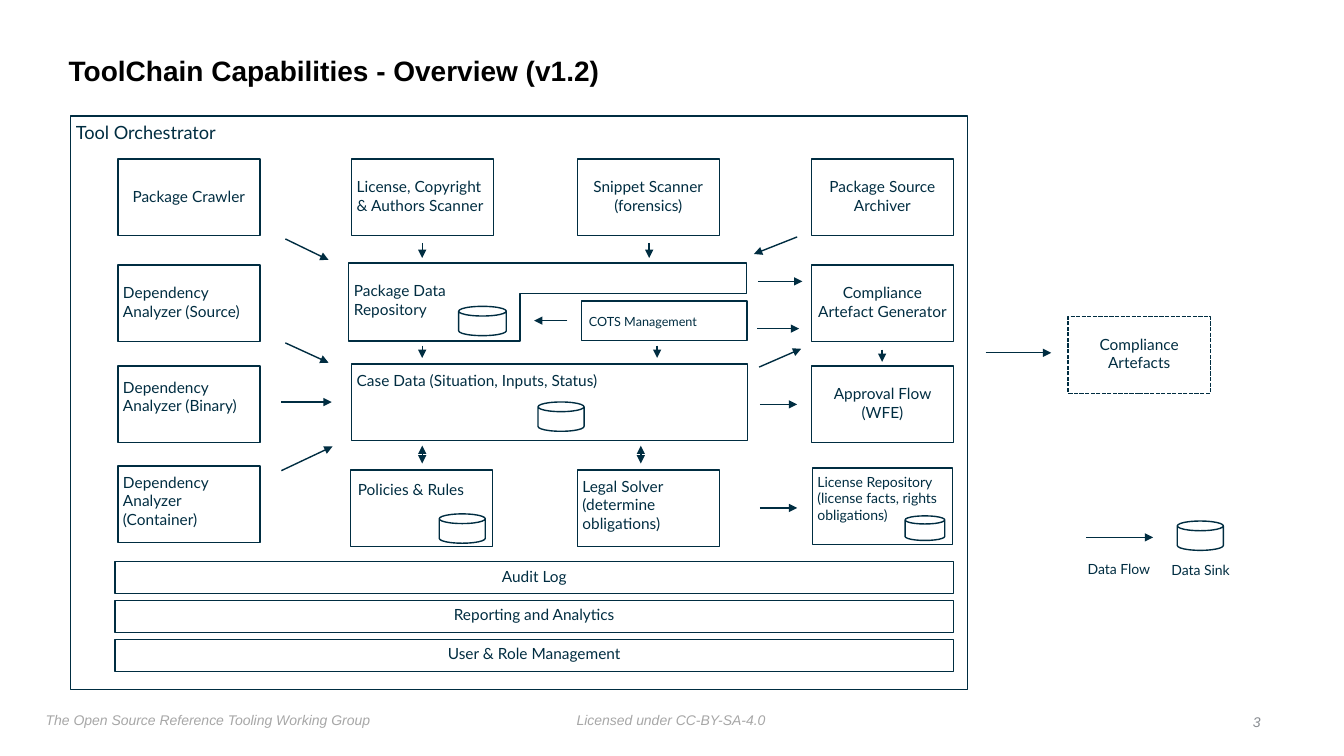
"""Build the ToolChain capabilities overview slide."""
from dataclasses import dataclass

from lxml import etree
from pptx import Presentation, util as u
from pptx.dml.color import RGBColor
from pptx.enum import dml, shapes, text
from pptx.oxml import ns

LEFT, CENTER, RIGHT = text.PP_ALIGN.LEFT, text.PP_ALIGN.CENTER, text.PP_ALIGN.RIGHT
INSET = 0.13


@dataclass(frozen=True)
class Theme:
    ink: str = "002D41"
    paper: str = "FFFFFF"
    heading: str = "000000"
    footer: str = "A7A7A7"
    number: str = "888C91"
    body_font: str = "Lato"
    title_font: str = "Arial"
    title: float = 20
    frame: float = 13
    box: float = 11
    small: float = 10
    tiny: float = 9
    line: float = 1


THEME = Theme()


@dataclass(frozen=True)
class Box:
    label: str
    x: float
    y: float
    w: float = 3.58
    h: float = 1.93
    top: float = 0.46
    left: float = INSET
    align: text.PP_ALIGN = LEFT
    size: float = THEME.box
    dashed: bool = False


@dataclass(frozen=True)
class Arrow:
    x1: float
    y1: float
    x2: float
    y2: float
    both: bool = False


@dataclass(frozen=True)
class Sink:
    x: float
    y: float
    w: float = 1.16
    h: float = 0.74


@dataclass(frozen=True)
class Label:
    words: str
    x: float
    y: float
    w: float
    h: float = 0.64
    font: str = THEME.title_font
    color: str = THEME.footer
    italic: bool = True
    align: text.PP_ALIGN = LEFT


COL1, COL2, COL3, COL4 = 2.97, 8.86, 14.55, 20.45
ROW1, ROW2, ROW3, ROW4 = 4.01, 6.68, 9.22, 11.84

BOXES = [
    Box("Tool Orchestrator", 1.78, 2.92, 22.61, 14.45, top=INSET, size=THEME.frame),
    Box("Package Crawler", COL1, ROW1, top=0.71, align=CENTER),
    Box("License, Copyright & Authors Scanner", COL2, ROW1),
    Box("Snippet Scanner\v(forensics)", COL3, ROW1, align=CENTER),
    Box("Package Source Archiver", COL4, ROW1, align=CENTER),
    Box("Dependency Analyzer (Source)", COL1, ROW2),
    Box("Dependency Analyzer (Binary)", COL1, ROW3, top=0.3),
    Box("Dependency Analyzer (Container)", COL1, 11.74, top=0.18),
    Box("Compliance Artefact Generator", COL4, ROW2, align=CENTER),
    Box("Approval Flow (WFE)", COL4, ROW3, align=CENTER),
    Box("COTS Management", 14.66, 7.59, 4.17, 0.99, top=0.33, left=0.18, size=THEME.tiny),
    Box("Case Data (Situation, Inputs, Status)", COL2, 9.17, w=9.98, top=0.18),
    Box("Policies & Rules", 8.84, ROW4, top=0.25, left=0.18),
    Box("Legal Solver (determine obligations)", COL3, ROW4, top=0.18),
    Box("License Repository (license facts, rights obligations)", 20.47, 11.79, w=3.53,
        top=INSET, size=THEME.small),
    Box("Compliance Artefacts", 26.92, 7.98, align=CENTER, dashed=True),
] + [
    Box(name, 2.9, 14.15 + 0.98 * i, 21.13, 0.81, top=INSET, align=CENTER)
    for i, name in enumerate(["Audit Log", "Reporting and Analytics", "User & Role Management"])
]

ARROWS = [
    Arrow(7.19, 6.02, 8.28, 6.55), Arrow(7.19, 8.64, 8.28, 9.14),
    Arrow(7.09, 10.13, 8.36, 10.13), Arrow(7.09, 11.86, 8.38, 11.25),
    Arrow(10.64, 6.12, 10.64, 6.5), Arrow(16.36, 6.12, 16.36, 6.5),
    Arrow(10.64, 8.71, 10.64, 9.02), Arrow(16.56, 8.71, 16.56, 9.02),
    Arrow(10.64, 11.68, 10.64, 11.23, both=True),
    Arrow(16.15, 11.68, 16.15, 11.23, both=True),
    Arrow(14.3, 8.08, 13.46, 8.08), Arrow(20.09, 5.97, 19, 6.4),
    Arrow(19.1, 7.09, 20.22, 7.09), Arrow(19.08, 8.28, 20.14, 8.28),
    Arrow(19.13, 9.25, 20.19, 8.79), Arrow(19.15, 10.19, 20.09, 10.19),
    Arrow(19.15, 12.8, 20.09, 12.8), Arrow(22.23, 8.81, 22.23, 9.12),
    Arrow(24.84, 8.89, 26.49, 8.89), Arrow(27.38, 13.54, 29.06, 13.54),
]

SINKS = [Sink(11.56, 7.72, 1.2), Sink(13.56, 10.13), Sink(11.07, 12.95),
         Sink(22.81, 13, 1, 0.62), Sink(29.67, 13.13)]

LABELS = [
    Label("The Open Source Reference Tooling Working Group", 1.02, 17.81, 8.48),
    Label("Licensed under CC-BY-SA-4.0", 14.4, 17.81, 5.05),
    Label("3", 31.42, 17.86, 0.48, color=THEME.number, align=RIGHT),
    Label("Data Flow", 27.28, 14, 1.88, 0.74, THEME.body_font, THEME.ink, False),
    Label("Data Sink", 29.39, 14.02, 1.78, 0.74, THEME.body_font, THEME.ink, False),
]

REPOSITORY_OUTLINE = [(8.79, 6.63), (18.82, 6.63), (18.82, 7.39),
                      (13.11, 7.39), (13.11, 8.59), (8.79, 8.59)]


def write(sp, words: str, size: float, font: str = THEME.body_font, color: str = THEME.ink,
          align: text.PP_ALIGN = LEFT, top: float = INSET, left: float = INSET,
          right: float = INSET, bold: bool = False, italic: bool = False,
          wrap: bool = True, anchor: text.MSO_ANCHOR = text.MSO_ANCHOR.TOP) -> None:
    tf = sp.text_frame
    tf.text = words
    tf.auto_size = text.MSO_AUTO_SIZE.NONE
    tf.word_wrap, tf.vertical_anchor = wrap, anchor
    tf.margin_left, tf.margin_right = u.Cm(left), u.Cm(right)
    tf.margin_top, tf.margin_bottom = u.Cm(top), u.Cm(INSET)
    p = tf.paragraphs[0]
    p.alignment = align
    for r in p.runs:
        r.font.name, r.font.size = font, u.Pt(size)
        r.font.bold, r.font.italic = bold, italic
        r.font.color.rgb = RGBColor.from_string(color)


def outline(sp) -> None:
    sp.shadow.inherit = False
    sp.fill.solid()
    sp.fill.fore_color.rgb = RGBColor.from_string(THEME.paper)
    sp.line.color.rgb = RGBColor.from_string(THEME.ink)
    sp.line.width = u.Pt(THEME.line)


def draw_box(s, box: Box) -> None:
    sp = s.shapes.add_shape(shapes.MSO_SHAPE.RECTANGLE, u.Cm(box.x), u.Cm(box.y),
                            u.Cm(box.w), u.Cm(box.h))
    outline(sp)
    if box.dashed:
        sp.line.dash_style = dml.MSO_LINE.SQUARE_DOT
    write(sp, box.label, box.size, align=box.align, top=box.top, left=box.left)


def draw_repository(s) -> None:
    points = [(u.Cm(x), u.Cm(y)) for x, y in REPOSITORY_OUTLINE]
    builder = s.shapes.build_freeform(*points[0])
    builder.add_line_segments(points[1:], close=True)
    sp = builder.convert_to_shape()
    outline(sp)
    write(sp, "Package Data Repository", THEME.box, top=0.46, right=5.84)


def draw_arrow(s, arrow: Arrow) -> None:
    cx = s.shapes.add_connector(shapes.MSO_CONNECTOR.STRAIGHT, u.Cm(arrow.x1), u.Cm(arrow.y1),
                                u.Cm(arrow.x2), u.Cm(arrow.y2))
    cx.line.color.rgb = RGBColor.from_string(THEME.ink)
    cx.line.width = u.Pt(THEME.line)
    ln = cx.line._get_or_add_ln()
    for end in ["headEnd", "tailEnd"] if arrow.both else ["tailEnd"]:
        etree.SubElement(ln, ns.qn(f"a:{end}"), type="triangle")
    etree.SubElement(cx._element.spPr, ns.qn("a:effectLst"))


def draw_sink(s, sink: Sink) -> None:
    sp = s.shapes.add_shape(shapes.MSO_SHAPE.CAN, u.Cm(sink.x), u.Cm(sink.y),
                            u.Cm(sink.w), u.Cm(sink.h))
    sp.adjustments[0] = 0.33
    outline(sp)


def draw_label(s, label: Label) -> None:
    sp = s.shapes.add_textbox(u.Cm(label.x), u.Cm(label.y), u.Cm(label.w), u.Cm(label.h))
    write(sp, label.words, THEME.small, label.font, label.color, label.align,
          italic=label.italic, wrap=False)


def main() -> None:
    prs = Presentation()
    prs.slide_width, prs.slide_height = u.Cm(33.87), u.Cm(19.05)
    s = prs.slides.add_slide(prs.slide_layouts[5])
    title = s.shapes.title
    title.left, title.top, title.width, title.height = u.Cm(1.6), u.Cm(0.99), u.Cm(27.3), u.Cm(1.65)
    write(title, "ToolChain Capabilities - Overview (v1.2)", THEME.title, THEME.title_font,
          THEME.heading, bold=True, anchor=text.MSO_ANCHOR.MIDDLE)
    title.text_frame.paragraphs[0].line_spacing = 0.9
    for box in BOXES:
        draw_box(s, box)
    draw_repository(s)
    for arrow in ARROWS:
        draw_arrow(s, arrow)
    for sink in SINKS:
        draw_sink(s, sink)
    for label in LABELS:
        draw_label(s, label)
    prs.save("out.pptx")


if __name__ == "__main__":
    main()
